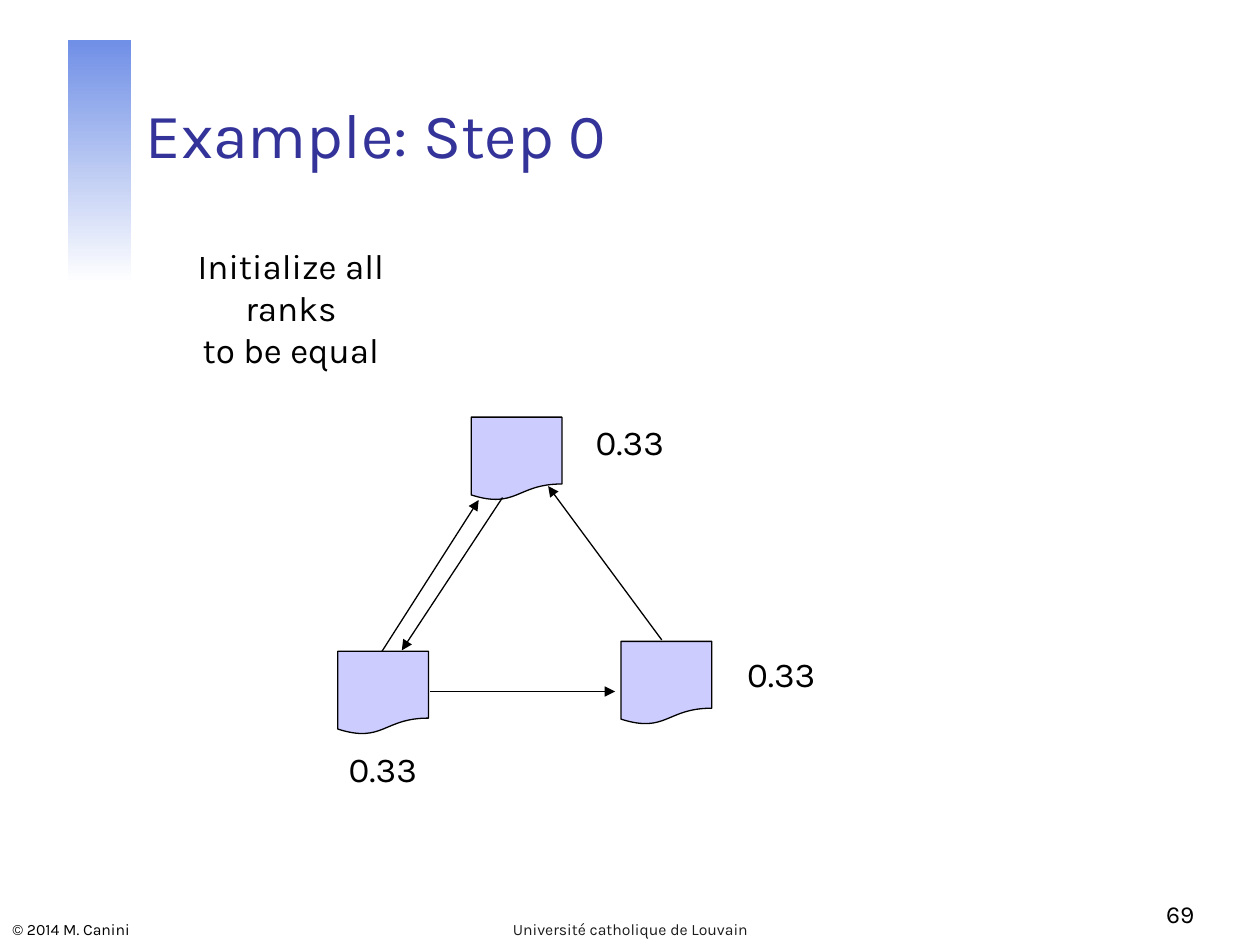
from dataclasses import dataclass

import lxml.etree
import pptx
import pptx.dml.color
import pptx.enum.shapes
import pptx.enum.text
import pptx.oxml.ns
import pptx.util
from pptx.util import Cm

Align = pptx.enum.text.PP_ALIGN
Anchor = pptx.enum.text.MSO_ANCHOR
ShapeType = pptx.enum.shapes.MSO_SHAPE

FONT = "Karla"
BLACK = "000000"
LINE_WIDTH = pptx.util.Pt(0.75)
PAGE_SIZE = (1.83, 1.68)
RANK_SIZE = (1.98, 1.27)


@dataclass
class Page:
    """A web page in the graph and its rank label, placed in centimetres."""
    left: float
    top: float
    rank_left: float
    rank_top: float
    rank: str = "0.33"


@dataclass
class Link:
    start: tuple[float, float]
    end: tuple[float, float]


PAGES = [
    Page(9.5, 8.41, 11.71, 8.36),
    Page(6.81, 13.13, 6.73, 14.94),
    Page(12.52, 12.93, 14.76, 13.03),
]
LINKS = [
    Link((7.7, 13.13), (9.65, 10.08)),
    Link((13.34, 12.9), (11.05, 9.8)),
    Link((10.13, 10.03), (8.1, 13.11)),
    Link((8.66, 13.94), (12.4, 13.94)),
]


def color(value: str) -> pptx.dml.color.RGBColor:
    return pptx.dml.color.RGBColor.from_string(value)


def add_text(slide, text: str, left: float, top: float, width: float, height: float, *,
             size: float = 20, ink: str = BLACK, align=Align.LEFT, anchor=Anchor.TOP,
             wrap: bool = True, inset_left: float = 0.25, inset_right: float = 0.25) -> None:
    box = slide.shapes.add_textbox(Cm(left), Cm(top), Cm(width), Cm(height))
    frame = box.text_frame
    frame.word_wrap = wrap
    frame.vertical_anchor = anchor
    frame.margin_left, frame.margin_right = Cm(inset_left), Cm(inset_right)
    paragraph = frame.paragraphs[0]
    paragraph.text = text
    paragraph.alignment = align
    paragraph.font.name = FONT
    paragraph.font.size = pptx.util.Pt(size)
    paragraph.font.color.rgb = color(ink)


def add_band(slide) -> None:
    band = slide.shapes.add_shape(ShapeType.RECTANGLE, Cm(1.37), Cm(0.81), Cm(1.27), Cm(4.9))
    band.shadow.inherit = False
    band.line.fill.background()
    band.fill.gradient()
    band.fill.gradient_angle = 270
    for stop, position, value in zip(band.fill.gradient_stops, (0, 1), ("708FE6", "FFFFFF")):
        stop.position = position
        stop.color.rgb = color(value)


def add_page(slide, page: Page) -> None:
    shape = slide.shapes.add_shape(ShapeType.FLOWCHART_DOCUMENT, Cm(page.left), Cm(page.top),
                                   *map(Cm, PAGE_SIZE))
    shape.shadow.inherit = False
    shape.fill.solid()
    shape.fill.fore_color.rgb = color("CCCCFF")
    shape.line.color.rgb = color(BLACK)
    shape.line.width = LINE_WIDTH
    add_text(slide, page.rank, page.rank_left, page.rank_top, *RANK_SIZE,
             align=Align.CENTER, wrap=False)


def add_link(slide, link: Link) -> None:
    connector = slide.shapes.add_connector(pptx.enum.shapes.MSO_CONNECTOR.STRAIGHT,
                                           *map(Cm, link.start + link.end))
    connector.line.color.rgb = color(BLACK)
    connector.line.width = LINE_WIDTH
    qualified = pptx.oxml.ns.qn
    properties = connector.line._get_or_add_ln()
    lxml.etree.SubElement(properties, qualified("a:tailEnd"), type="triangle")
    lxml.etree.SubElement(connector._element.spPr, qualified("a:effectLst"))


def main() -> None:
    presentation = pptx.Presentation()
    presentation.slide_width, presentation.slide_height = Cm(25.4), Cm(19.05)
    slide = presentation.slides.add_slide(presentation.slide_layouts[6])

    add_band(slide)
    add_text(slide, "Example: Step 0", 2.69, 0.84, 21.64, 2.74,
             size=36, ink="333399", anchor=Anchor.BOTTOM)
    add_text(slide, "Initialize all ranks\vto be equal", 3.73, 4.8, 5.94, 1.96,
             align=Align.CENTER, inset_left=0.13, inset_right=1.8)

    for page in PAGES:
        add_page(slide, page)
    for link in LINKS:
        add_link(slide, link)

    add_text(slide, "© 2014 M. Canini", 0, 18.34, 7.67, 0.71, size=9, anchor=Anchor.BOTTOM)
    add_text(slide, "Université catholique de Louvain", 8.69, 18.34, 8.03, 0.71,
             size=9, ink="1C1C1C", align=Align.CENTER, anchor=Anchor.BOTTOM)
    add_text(slide, "69", 19.05, 17.58, 5.28, 1.27,
             size=14, align=Align.RIGHT, anchor=Anchor.BOTTOM)

    presentation.save("out.pptx")


if __name__ == "__main__":
    main()
